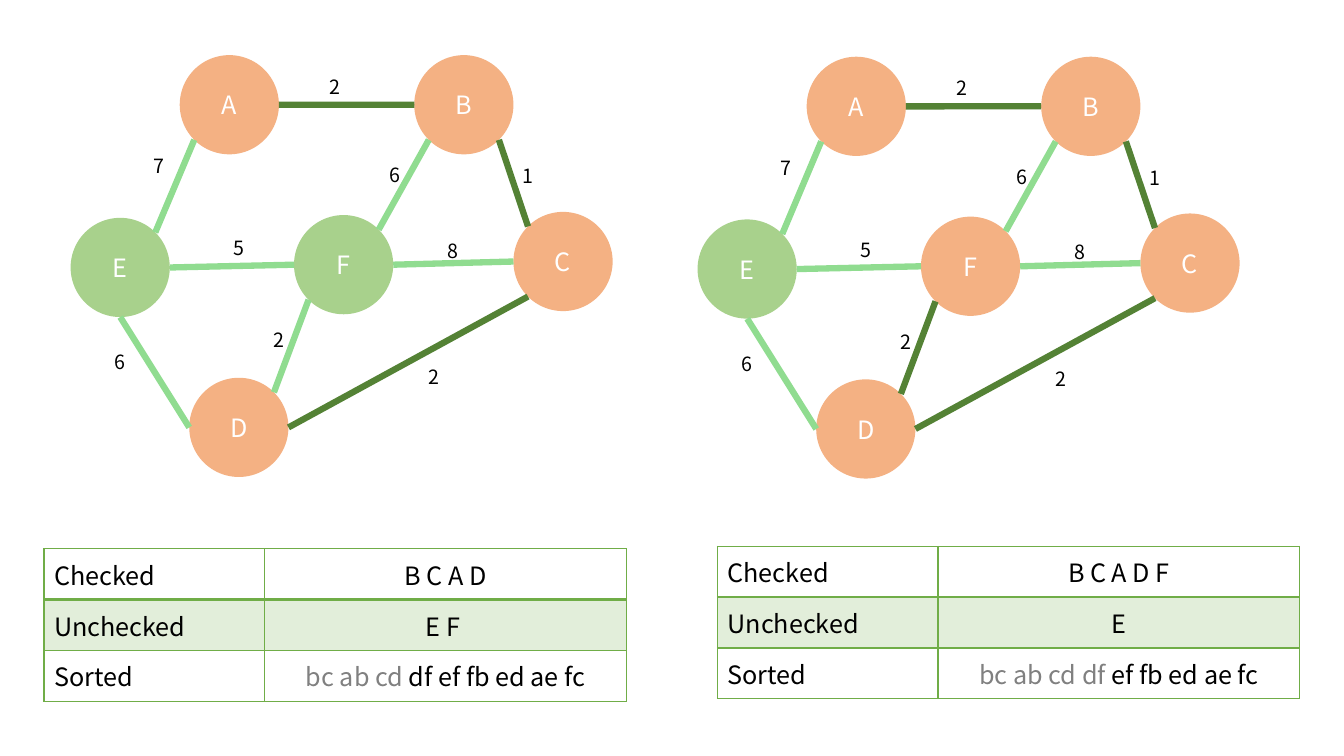
"""Two steps of Kruskal's algorithm, each a weighted graph above a status table."""
from math import cos, radians, sin

from lxml import etree
from pptx import Presentation
from pptx import util as u
from pptx.dml.color import RGBColor
from pptx.enum import shapes, text
from pptx.oxml.ns import qn

FONT = "Noto Sans CJK KR"
WHITE, BLACK, GREY = "FFFFFF", "000000", "808080"
ORANGE, GREEN = "F4B183", "A8D18C"
CHOSEN, OPEN, BORDER = "548235", "90DC90", "70AD47"
DIAMETER = 2.5
NODES = {"B": (10.44, 1.39), "A": (4.53, 1.39), "F": (7.41, 5.42),
         "E": (1.78, 5.49), "C": (12.94, 5.34), "D": (4.77, 9.52)}
EDGES = [("A", 6, "B", 2, "2", 7.95, 1.75), ("C", 1, "B", 5, "1", 12.8, 4),
         ("F", 7, "B", 3, "6", 9.45, 3.98), ("E", 7, "A", 3, "7", 3.51, 3.75),
         ("F", 2, "E", 6, "5", 5.53, 5.81), ("D", 6, "C", 3, "2", 10.44, 9.06),
         ("D", 2, "E", 4, "6", 2.53, 8.69), ("D", 7, "F", 3, "2", 6.53, 8.14),
         ("C", 2, "F", 6, "8", 10.92, 5.88)]
STEPS = [
    {"graph": (0, 0), "table": (1.11, 13.83), "checked": "B C A D",
     "unchecked": "E F ", "tree": ["AB", "CB", "DC"],
     "done": "bc ab cd ", "left": "df ef fb ed ae fc"},
    {"graph": (15.8, 0.04), "table": (18.08, 13.77), "checked": "B C A D F",
     "unchecked": "E", "tree": ["AB", "CB", "DC", "DF"],
     "done": "bc ab cd df ", "left": "ef fb ed ae fc"},
]


def color(value):
    return RGBColor.from_string(value)


def write(paragraph, content, size=18, fill=BLACK, align=text.PP_ALIGN.CENTER):
    paragraph.alignment = align
    run = paragraph.add_run()
    run.text = content
    run.font.name = FONT
    run.font.size = u.Pt(size)
    run.font.color.rgb = color(fill)


def site(center, index):
    angle = radians(45 * index)
    return (center[0] - DIAMETER / 2 * sin(angle),
            center[1] - DIAMETER / 2 * cos(angle))


class Board:
    def __init__(self, slide):
        self.slide = slide

    def node(self, name, left, top, fill):
        shape = self.slide.shapes.add_shape(
            shapes.MSO_SHAPE.OVAL, u.Cm(left), u.Cm(top), u.Cm(DIAMETER), u.Cm(DIAMETER))
        shape.shadow.inherit = False
        shape.fill.solid()
        shape.fill.fore_color.rgb = color(fill)
        shape.line.fill.background()
        shape.text_frame.vertical_anchor = text.MSO_ANCHOR.MIDDLE
        write(shape.text_frame.paragraphs[0], name, fill=WHITE)

    def edge(self, start, end, stroke):
        points = [u.Cm(value) for value in (*start, *end)]
        connector = self.slide.shapes.add_connector(shapes.MSO_CONNECTOR.STRAIGHT, *points)
        connector.line.color.rgb = color(stroke)
        connector.line.width = u.Pt(4.5)
        etree.SubElement(connector._element.spPr, qn("a:effectLst"))

    def weight(self, value, left, top):
        box = self.slide.shapes.add_textbox(u.Cm(left), u.Cm(top), u.Cm(1), u.Cm(0.86))
        box.text_frame.word_wrap = True
        box.text_frame.vertical_anchor = text.MSO_ANCHOR.MIDDLE
        write(box.text_frame.paragraphs[0], value, size=14)

    def border(self, cell, bottom):
        properties = cell._tc.get_or_add_tcPr()
        for side, points in (("L", 1), ("R", 1), ("T", 1), ("B", bottom)):
            line = etree.SubElement(properties, qn(f"a:ln{side}"), w=str(u.Pt(points)))
            solid = etree.SubElement(line, qn("a:solidFill"))
            etree.SubElement(solid, qn("a:srgbClr"), val=BORDER)

    def shade(self, cell):
        cell.fill.solid()
        cell.fill.fore_color.rgb = color(BORDER)
        tone = cell._tc.tcPr.find(qn("a:solidFill")).find(qn("a:srgbClr"))
        etree.SubElement(tone, qn("a:alpha"), val="20000")

    def table(self, left, top, rows):
        table = self.slide.shapes.add_table(
            len(rows), 2, u.Cm(left), u.Cm(top), u.Cm(14.68), u.Cm(3.84)).table
        table.first_row = table.horz_banding = False
        table.columns[0].width, table.columns[1].width = u.Cm(5.56), u.Cm(9.12)
        for index, (label, runs) in enumerate(rows):
            table.rows[index].height = u.Cm(1.28)
            for cell in table.rows[index].cells:
                cell.vertical_anchor = text.MSO_ANCHOR.MIDDLE
                self.border(cell, bottom=2 if index == 0 else 1)
                if index == 1:
                    self.shade(cell)
                else:
                    cell.fill.background()
            name, value = (cell.text_frame.paragraphs[0] for cell in table.rows[index].cells)
            write(name, label, align=text.PP_ALIGN.LEFT)
            for content, fill in runs:
                write(value, content, fill=fill)

    def graph(self, dx, dy, checked, tree):
        centers = {}
        for name, (x, y) in NODES.items():
            self.node(name, x + dx, y + dy, ORANGE if name in checked else GREEN)
            centers[name] = (x + dx + DIAMETER / 2, y + dy + DIAMETER / 2)
        for first, out, second, into, *_ in EDGES:
            self.edge(site(centers[first], out), site(centers[second], into),
                      CHOSEN if first + second in tree else OPEN)
        for *_, value, x, y in EDGES:
            self.weight(value, x + dx, y + dy)


presentation = Presentation()
presentation.slide_width, presentation.slide_height = u.Cm(33.87), u.Cm(19.05)
board = Board(presentation.slides.add_slide(presentation.slide_layouts[6]))
for step in STEPS:
    board.graph(*step["graph"], step["checked"], step["tree"])
    board.table(*step["table"], [
        ("Checked", [(step["checked"], BLACK)]),
        ("Unchecked", [(step["unchecked"], BLACK)]),
        ("Sorted", [(step["done"], GREY), (step["left"], BLACK)]),
    ])
presentation.save("out.pptx")
